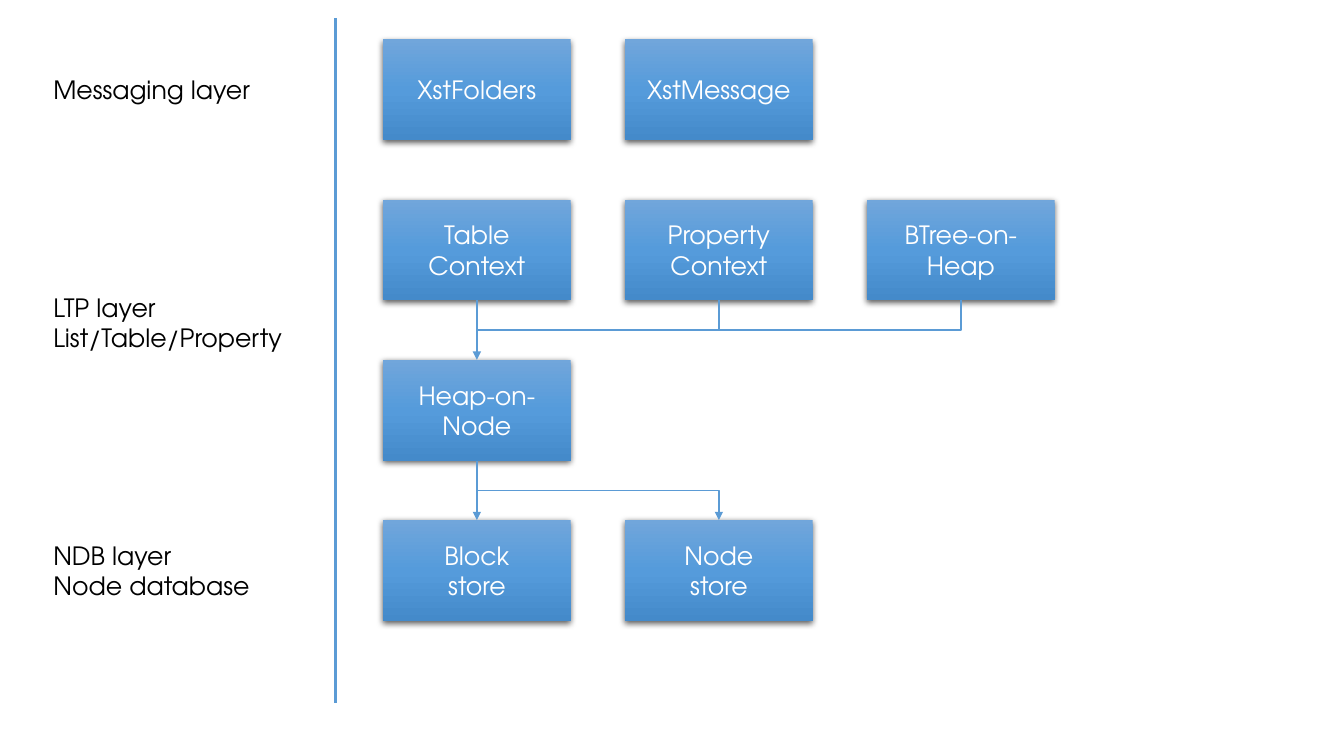
from dataclasses import dataclass

import lxml.etree
import pptx
import pptx.dml.color
import pptx.enum.shapes
import pptx.enum.text
import pptx.oxml.ns
import pptx.util

Inches = pptx.util.Inches
Connector = pptx.enum.shapes.MSO_CONNECTOR
qn = pptx.oxml.ns.qn

COLORS = {
    "text": "000000",
    "box_text": "FFFFFF",
    "line": "5B9BD5",
    "top": "71A6DB",
    "middle": "559BDB",
    "bottom": "448ACA",
    "shadow": "000000",
}
FONT = "TeX Gyre Adventor"
FONT_SIZE = 18
BOX_LEFT, BOX_TOP = 3.8, 0.39
BOX_WIDTH, BOX_HEIGHT = 1.86, 1.0
COLUMN_STEP, ROW_STEP = 2.4, 1.59
HALF_GAP = (ROW_STEP - BOX_HEIGHT) / 2


@dataclass
class Label:
    text: str
    top: float
    height: float


@dataclass
class Box:
    text: str
    column: int
    row: int


@dataclass
class Link:
    kind: int
    start: tuple[float, float]
    end: tuple[float, float]
    width: float = 1
    arrow: bool = False


def center_x(column: int) -> float:
    return BOX_LEFT + column * COLUMN_STEP + BOX_WIDTH / 2


def row_top(row: int) -> float:
    return BOX_TOP + row * ROW_STEP


def row_bottom(row: int) -> float:
    return row_top(row) + BOX_HEIGHT


LABELS = [
    Label("Messaging layer", 0.69, 0.4),
    Label("LTP layer\nList/Table/Property", 2.85, 0.71),
    Label("NDB layer\nNode database", 5.31, 0.71),
]
BOXES = [
    Box("XstFolders", 0, 0),
    Box("XstMessage", 1, 0),
    Box("Table\vContext", 0, 1),
    Box("Property\vContext", 1, 1),
    Box("BTree-on-Heap", 2, 1),
    Box("Heap-on-Node", 0, 2),
    Box("Block\nstore", 0, 3),
    Box("Node\nstore", 1, 3),
]
CONTEXT_JOIN = (center_x(0), row_bottom(1) + HALF_GAP)
STORE_JOIN = (center_x(0), row_bottom(2) + HALF_GAP)
LINKS = [
    Link(Connector.STRAIGHT, (3.33, 0.18), (3.33, 6.97), width=2.25),
    Link(Connector.STRAIGHT, (center_x(0), row_bottom(1)), (center_x(0), row_top(2)), arrow=True),
    Link(Connector.ELBOW, CONTEXT_JOIN, (center_x(1), row_bottom(1))),
    Link(Connector.ELBOW, CONTEXT_JOIN, (center_x(2), row_bottom(1))),
    Link(Connector.STRAIGHT, (center_x(0), row_bottom(2)), (center_x(0), row_top(3)), arrow=True),
    Link(Connector.ELBOW, STORE_JOIN, (center_x(1), row_top(3)), arrow=True),
]


def add_element(parent, tag: str, **attributes: str):
    return lxml.etree.SubElement(parent, qn(tag), attributes)


def rgb(name: str) -> pptx.dml.color.RGBColor:
    return pptx.dml.color.RGBColor.from_string(COLORS[name])


def write_text(shape, text: str, color: str, alignment) -> None:
    frame = shape.text_frame
    frame.word_wrap = True
    frame.text = text
    for para in frame.paragraphs:
        para.alignment = alignment
        for span in para.runs:
            span.font.name = FONT
            span.font.size = pptx.util.Pt(FONT_SIZE)
            span.font.color.rgb = rgb(color)


def style_box(shape) -> None:
    shape.line.fill.background()
    shape.fill.gradient()
    gradient = shape._element.spPr.find(qn("a:gradFill"))
    for child in list(gradient):
        gradient.remove(child)
    stops = add_element(gradient, "a:gsLst")
    for position, name in ((0, "top"), (50000, "middle"), (100000, "bottom")):
        stop = add_element(stops, "a:gs", pos=str(position))
        add_element(stop, "a:srgbClr", val=COLORS[name])
    add_element(gradient, "a:lin", ang="5400000", scaled="0")

    shape.shadow.inherit = False
    effects = shape._element.spPr.find(qn("a:effectLst"))
    shadow = add_element(
        effects, "a:outerShdw", blurRad="57150", dist="19050", dir="5400000",
        algn="ctr", rotWithShape="0",
    )
    shade = add_element(shadow, "a:srgbClr", val=COLORS["shadow"])
    add_element(shade, "a:alpha", val="63000")


def draw_label(page, label: Label) -> None:
    shape = page.shapes.add_textbox(
        Inches(0.43), Inches(label.top), Inches(2.62), Inches(label.height)
    )
    write_text(shape, label.text, "text", pptx.enum.text.PP_ALIGN.LEFT)


def draw_box(page, box: Box) -> None:
    shape = page.shapes.add_shape(
        pptx.enum.shapes.MSO_SHAPE.RECTANGLE,
        Inches(BOX_LEFT + box.column * COLUMN_STEP), Inches(row_top(box.row)),
        Inches(BOX_WIDTH), Inches(BOX_HEIGHT),
    )
    style_box(shape)
    shape.text_frame.vertical_anchor = pptx.enum.text.MSO_ANCHOR.MIDDLE
    write_text(shape, box.text, "box_text", pptx.enum.text.PP_ALIGN.CENTER)


def draw_link(page, link: Link) -> None:
    ends = [Inches(value) for value in (*link.start, *link.end)]
    connector = page.shapes.add_connector(link.kind, *ends)
    connector.line.color.rgb = rgb("line")
    connector.line.width = pptx.util.Pt(link.width)
    properties = connector._element.spPr
    if link.kind == Connector.ELBOW:
        properties.find(qn("a:prstGeom")).set("prst", "bentConnector2")
    if link.arrow:
        add_element(properties.find(qn("a:ln")), "a:tailEnd", type="triangle")
    add_element(properties, "a:effectLst")


def main() -> None:
    deck = pptx.Presentation()
    deck.slide_width = Inches(13.33)
    deck.slide_height = Inches(7.5)
    page = deck.slides.add_slide(deck.slide_layouts[6])
    for label in LABELS:
        draw_label(page, label)
    for box in BOXES:
        draw_box(page, box)
    for link in LINKS:
        draw_link(page, link)
    deck.save("out.pptx")


if __name__ == "__main__":
    main()
